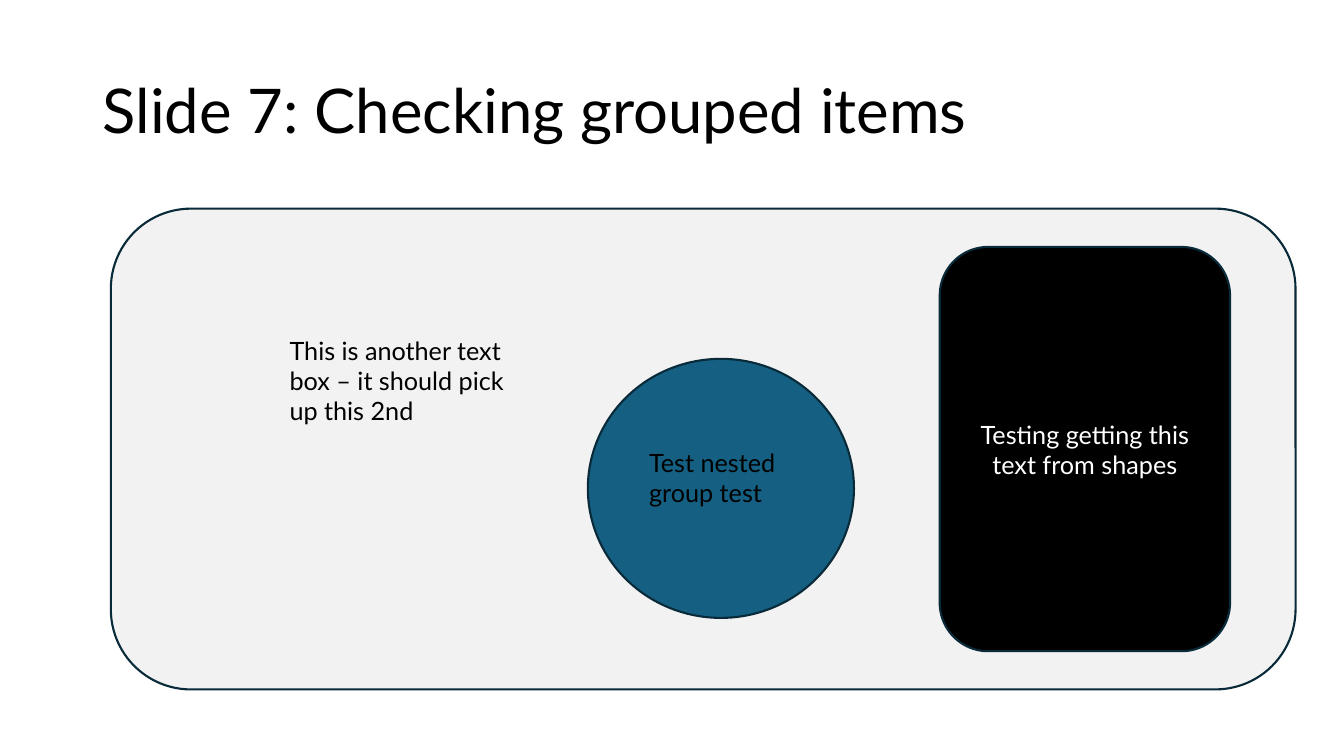
import pptx
import pptx.util
import pptx.dml.color
import pptx.enum.shapes
import pptx.enum.text

RGBColor = pptx.dml.color.RGBColor
BLACK = RGBColor(0x00, 0x00, 0x00)
WHITE = RGBColor(0xFF, 0xFF, 0xFF)
GREY = RGBColor(0xF2, 0xF2, 0xF2)
BLUE = RGBColor(0x15, 0x60, 0x82)
NAVY = RGBColor(0x09, 0x2A, 0x39)
SHAPE = pptx.enum.shapes.MSO_SHAPE
ANCHOR = pptx.enum.text.MSO_ANCHOR
ALIGN = pptx.enum.text.PP_ALIGN

deck = pptx.Presentation()
deck.slide_width = pptx.util.Inches(13.33)
deck.slide_height = pptx.util.Inches(7.5)
page = deck.slides.add_slide(deck.slide_layouts[6])


def percent(left, top, width, height):
    across, down = deck.slide_width / 100, deck.slide_height / 100
    return int(left * across), int(top * down), int(width * across), int(height * down)


def write(box, text, size, color, anchor, align):
    frame = box.text_frame
    frame.word_wrap = True
    frame.vertical_anchor = anchor
    para = frame.paragraphs[0]
    para.text = text
    para.alignment = align
    para.font.name = "Lato"
    para.font.size = pptx.util.Pt(size)
    para.font.color.rgb = color
    return para


title = page.shapes.add_textbox(*percent(6.9, 5.33, 86.25, 19.33))
heading = write(title, "Slide 7: Checking grouped items", 44, BLACK, ANCHOR.MIDDLE, ALIGN.LEFT)
heading.line_spacing = 0.9

panel_group = page.shapes.add_group_shape()
panel = panel_group.shapes.add_shape(SHAPE.ROUNDED_RECTANGLE, *percent(8.25, 27.6, 88.15, 63.6))
note = panel_group.shapes.add_shape(SHAPE.OVAL, *percent(16.88, 40.93, 26.86, 18.93))
card = panel_group.shapes.add_shape(SHAPE.ROUNDED_RECTANGLE, *percent(69.92, 32.67, 21.6, 53.47))
circle_group = panel_group.shapes.add_group_shape()
circle = circle_group.shapes.add_shape(SHAPE.OVAL, *percent(43.74, 47.47, 19.8, 34.27))
label = circle_group.shapes.add_textbox(*percent(47.56, 58.53, 11.63, 9.47))

for shape, fill in ((panel, GREY), (card, BLACK), (circle, BLUE)):
    shape.shadow.inherit = False
    shape.fill.solid()
    shape.fill.fore_color.rgb = fill
    shape.line.color.rgb = NAVY
    shape.line.width = pptx.util.Pt(1.5)

note.shadow.inherit = False
note.fill.background()
note.line.fill.background()

for box, text, color, anchor, align in (
    (note, "This is another text box – it should pick up this 2nd", BLACK, ANCHOR.TOP, ALIGN.LEFT),
    (card, "Testing getting this text from shapes", WHITE, ANCHOR.MIDDLE, ALIGN.CENTER),
    (label, "Test nested group test", BLACK, ANCHOR.TOP, ALIGN.LEFT),
):
    write(box, text, 18, color, anchor, align)

deck.save("out.pptx")
